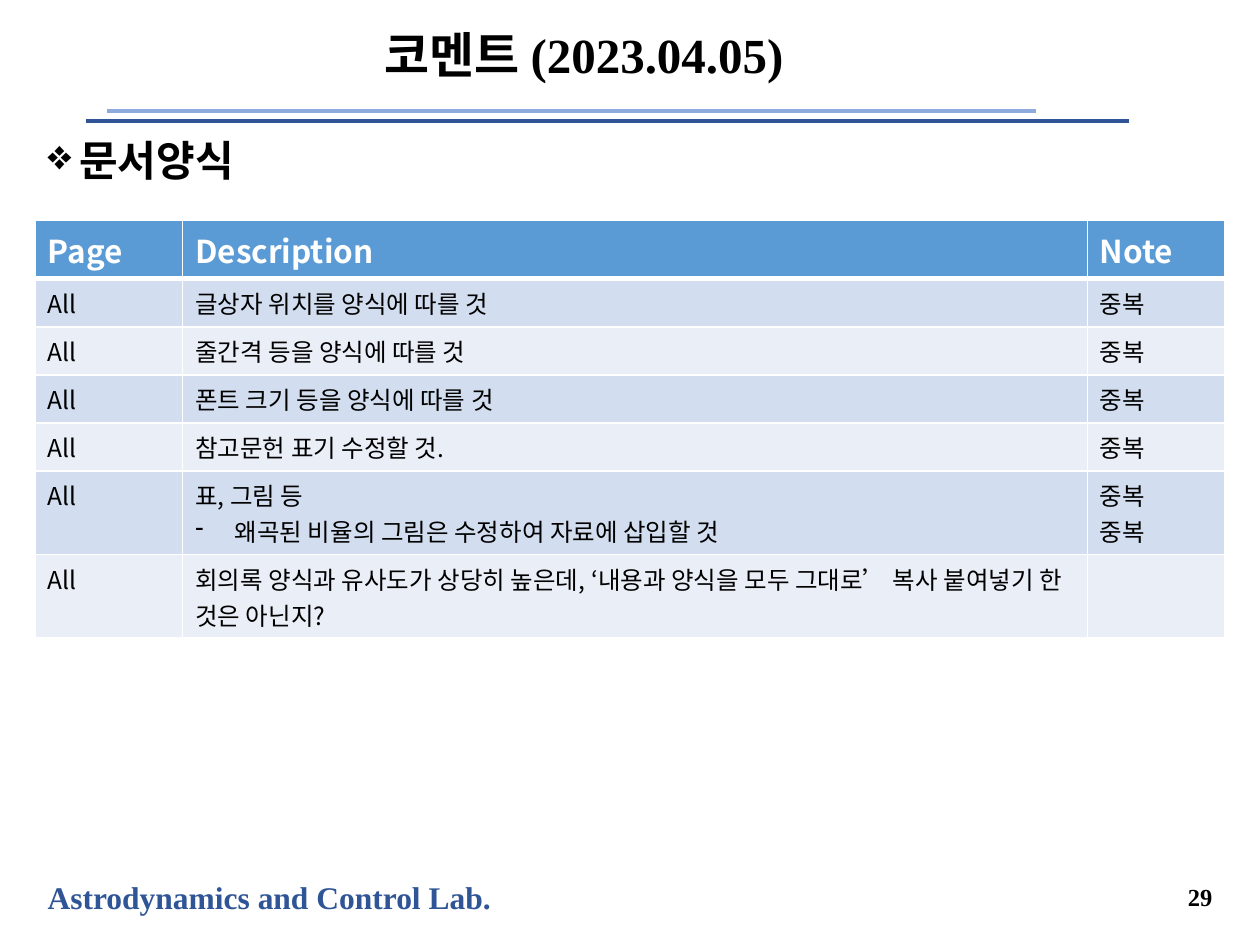
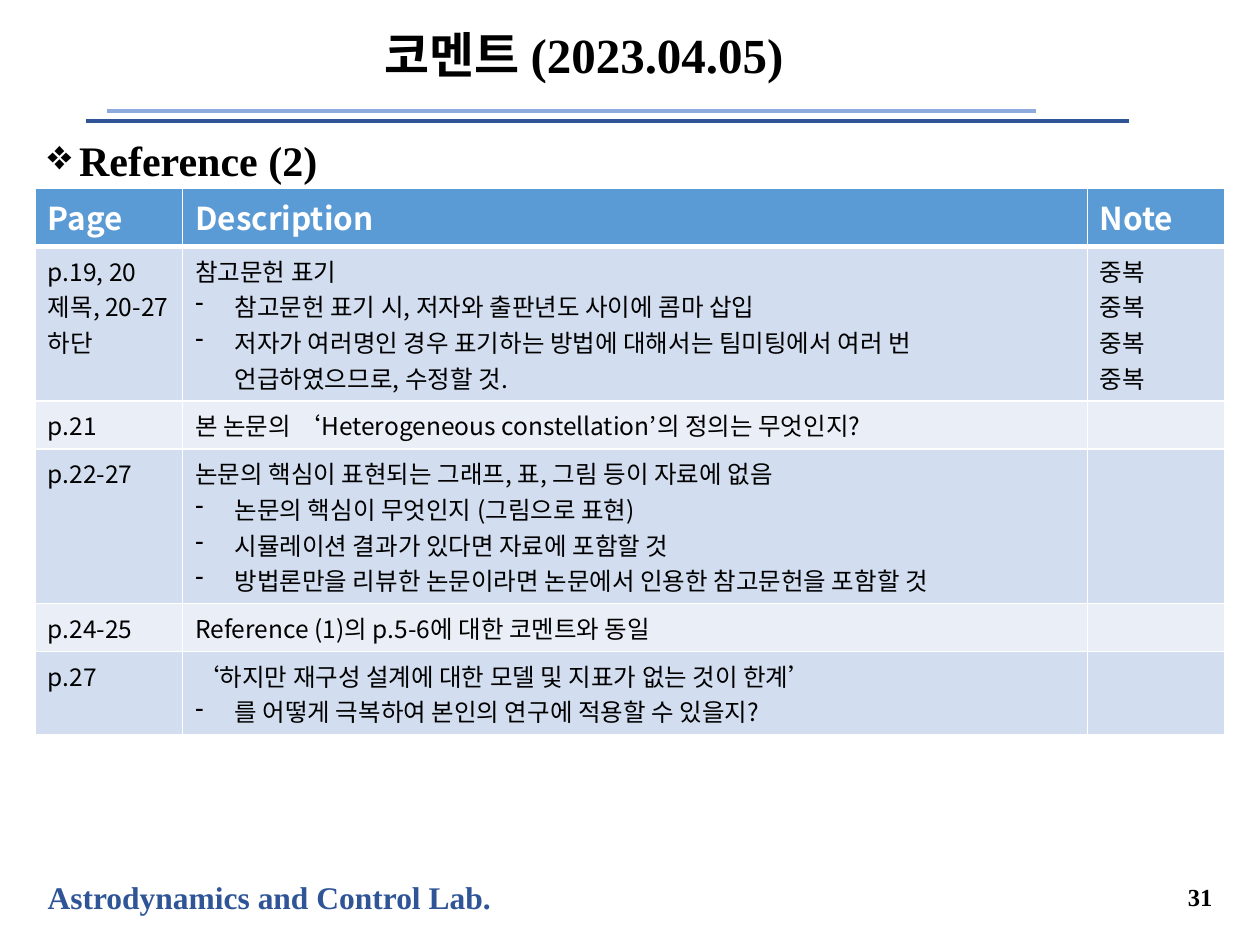
import pptx
import pptx.dml.color
import pptx.enum.shapes
import pptx.enum.text
import pptx.oxml.ns
import pptx.util
from lxml import etree

Pt = pptx.util.Pt
qn = pptx.oxml.ns.qn
ALIGN = pptx.enum.text.PP_ALIGN
ANCHOR = pptx.enum.text.MSO_ANCHOR

SERIF = "Times New Roman"
SANS = "Noto Sans CJK KR"
BLACK, WHITE = "000000", "FFFFFF"
NAVY, LIGHT_BLUE = "2F5597", "8FAADC"
HEADER_FILL, ROW_FILLS = "5B9BD5", ("D2DEEF", "EAEFF7")

LEFT, WIDTH = 20.16, 679.68
COLUMN_WIDTHS = (84.24, 516.96, 78.48)
HEADER_SIZE, BODY_SIZE = 18, 14
LINE_FACTOR, CELL_PADDING = 1.448, 7.2
DASH = "- "
DUPLICATE = "중복"

TITLE = "코멘트 (2023.04.05)"
HEADINGS = ("Page", "Description", "Note")

# Each row: page, description lines, note lines, number of text lines shown
FORMAT_ROWS = [
    ("All", ["글상자 위치를 양식에 따를 것"], [DUPLICATE], 1),
    ("All", ["줄간격 등을 양식에 따를 것"], [DUPLICATE], 1),
    ("All", ["폰트 크기 등을 양식에 따를 것"], [DUPLICATE], 1),
    ("All", ["참고문헌 표기 수정할 것."], [DUPLICATE], 1),
    ("All", ["표, 그림 등",
             "- 왜곡된 비율의 그림은 수정하여 자료에 삽입할 것"], [DUPLICATE] * 2, 2),
    ("All", ["회의록 양식과 유사도가 상당히 높은데, ‘내용과 양식을 모두 그대로’ "
             "복사 붙여넣기 한 것은 아닌지?"], [], 2),
]
REFERENCE_ROWS = [
    ("p.19, 20 제목, 20-27하단",
     ["참고문헌 표기",
      "- 참고문헌 표기 시, 저자와 출판년도 사이에 콤마 삽입",
      "- 저자가 여러명인 경우 표기하는 방법에 대해서는 팀미팅에서 여러 번 "
      "언급하였으므로, 수정할 것."], [DUPLICATE] * 4, 4),
    ("p.21", ["본 논문의 ‘Heterogeneous constellation’의 정의는 무엇인지?"], [], 1),
    ("p.22-27",
     ["논문의 핵심이 표현되는 그래프, 표, 그림 등이 자료에 없음",
      "- 논문의 핵심이 무엇인지 (그림으로 표현)",
      "- 시뮬레이션 결과가 있다면 자료에 포함할 것",
      "- 방법론만을 리뷰한 논문이라면 논문에서 인용한 참고문헌을 포함할 것"], [], 4),
    ("p.24-25", ["Reference (1)의 p.5-6에 대한 코멘트와 동일"], [], 1),
    ("p.27",
     ["‘하지만 재구성 설계에 대한 모델 및 지표가 없는 것이 한계’",
      "- 를 어떻게 극복하여 본인의 연구에 적용할 수 있을지?"], [], 2),
]


def color(hex_string):
    return pptx.dml.color.RGBColor.from_string(hex_string)


def add_run(paragraph, text, size, font_name, hex_color, bold=True):
    run = paragraph.add_run()
    run.text = text
    run.font.size = Pt(size)
    run.font.bold = bold
    run.font.color.rgb = color(hex_color)
    run.font.name = font_name
    etree.SubElement(run.font._element, qn("a:ea"), typeface=SANS)


def set_bullet(paragraph, character, margin, indent):
    properties = paragraph._p.get_or_add_pPr()
    properties.set("marL", str(Pt(margin)))
    properties.set("indent", str(Pt(indent)))
    etree.SubElement(properties, qn("a:buChar"), char=character)


def add_text(slide, box, text, size, hex_color=BLACK, align=ALIGN.LEFT,
             anchor=ANCHOR.TOP, wrap=True):
    """Add a one-paragraph bold text box and return its paragraph."""
    frame = slide.shapes.add_textbox(*map(Pt, box)).text_frame
    frame.word_wrap = wrap
    frame.vertical_anchor = anchor
    paragraph = frame.paragraphs[0]
    paragraph.alignment = align
    add_run(paragraph, text, size, SERIF, hex_color)
    return paragraph


def add_rule(slide, left, right, top, hex_color):
    rule = slide.shapes.add_connector(
        pptx.enum.shapes.MSO_CONNECTOR.STRAIGHT, Pt(left), Pt(top), Pt(right), Pt(top))
    rule.line.color.rgb = color(hex_color)
    rule.line.width = Pt(2.25)
    etree.SubElement(rule._element.spPr, qn("a:effectLst"))


def add_frame(slide, page_number):
    """Add the title, rules and footer that every slide carries."""
    add_text(slide, (LEFT, 498.24, 270.72, 28.8), "Astrodynamics and Control Lab.",
             18, NAVY, wrap=False)
    add_rule(slide, 48.96, 645.12, 69.12, NAVY)
    add_rule(slide, 61.2, 591.84, 63.36, LIGHT_BLUE)
    add_text(slide, (622.8, 498.24, 77.04, 28.08), page_number, 14,
             align=ALIGN.RIGHT, anchor=ANCHOR.MIDDLE)
    title = add_text(slide, (69.84, 5.76, 527.76, 54), TITLE, 28,
                     align=ALIGN.CENTER, anchor=ANCHOR.MIDDLE)
    title.line_spacing = 0.9


def set_borders(cell, top, bottom):
    properties = cell._tc.get_or_add_tcPr()
    for side, width in (("L", 1), ("R", 1), ("T", top), ("B", bottom)):
        line = etree.SubElement(properties, qn("a:ln" + side), w=str(Pt(width)))
        fill = etree.SubElement(line, qn("a:solidFill"))
        etree.SubElement(fill, qn("a:srgbClr"), val=WHITE)


def fill_cell(cell, lines, size, hex_color, fill, bold=False, top=1, bottom=1):
    """Write the lines; those that start with a dash become bullets."""
    set_borders(cell, top, bottom)
    cell.fill.solid()
    cell.fill.fore_color.rgb = color(fill)
    frame = cell.text_frame
    for index, line in enumerate(lines):
        paragraph = frame.add_paragraph() if index else frame.paragraphs[0]
        if line.startswith(DASH):
            set_bullet(paragraph, "-", 22.5, -22.5)
        add_run(paragraph, line.removeprefix(DASH), size, SANS, hex_color, bold)
    if not lines:
        etree.SubElement(frame.paragraphs[0]._p, qn("a:endParaRPr"), sz=str(size * 100))


def row_height(size, line_count):
    return round(size * LINE_FACTOR * line_count + CELL_PADDING, 2)


def add_comment_table(slide, top, rows):
    heights = [row_height(HEADER_SIZE, 1)]
    heights += [row_height(BODY_SIZE, line_count) for *_, line_count in rows]
    table = slide.shapes.add_table(len(heights), len(HEADINGS), Pt(LEFT), Pt(top),
                                   Pt(WIDTH), Pt(sum(heights))).table
    for column, width in zip(table.columns, COLUMN_WIDTHS):
        column.width = Pt(width)
    for row, height in zip(table.rows, heights):
        row.height = Pt(height)
    for cell, heading in zip(table.rows[0].cells, HEADINGS):
        fill_cell(cell, [heading], HEADER_SIZE, WHITE, HEADER_FILL, bold=True, bottom=3)
    for index, (page, description, note, _) in enumerate(rows):
        for cell, lines in zip(table.rows[index + 1].cells, ([page], description, note)):
            fill_cell(cell, lines, BODY_SIZE, BLACK, ROW_FILLS[index % 2],
                      top=1 if index else 3)


def add_comment_slide(presentation, page_number, topic, table_top, rows):
    slide = presentation.slides.add_slide(presentation.slide_layouts[6])
    add_frame(slide, page_number)
    paragraph = add_text(slide, (LEFT, 73.44, WIDTH, 423.36), topic, 24)
    set_bullet(paragraph, "❖", 18, -28)
    add_comment_table(slide, table_top, rows)


def main():
    presentation = pptx.Presentation()
    presentation.slide_width, presentation.slide_height = Pt(720), Pt(540)
    add_comment_slide(presentation, "29", "문서양식", 126, FORMAT_ROWS)
    add_comment_slide(presentation, "31", "Reference (2)", 107.5, REFERENCE_ROWS)
    presentation.save("out.pptx")


if __name__ == "__main__":
    main()
